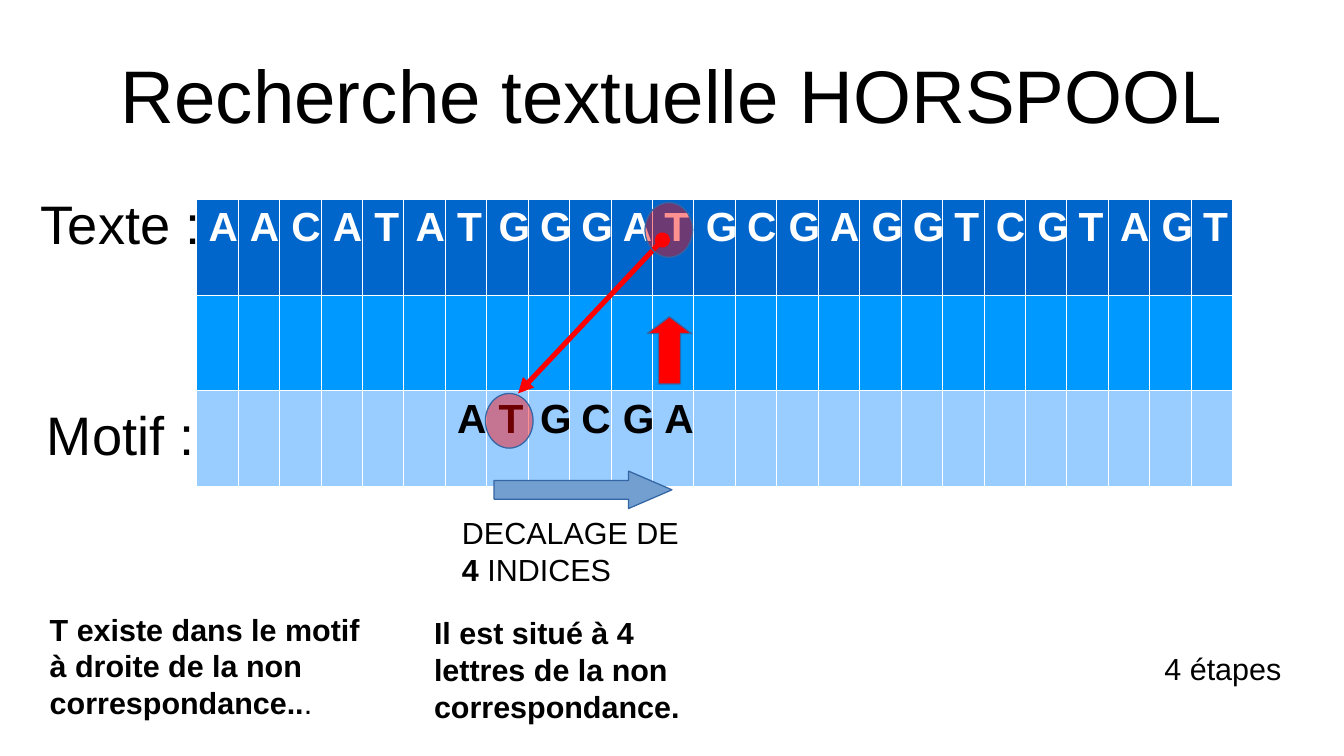
from lxml.etree import SubElement as Sub
from pptx import Presentation
from pptx.dml.color import RGBColor as Rgb
from pptx.enum.shapes import MSO_CONNECTOR as Conn, MSO_SHAPE as Kind
from pptx.enum.text import MSO_ANCHOR as Anchor, PP_ALIGN as Align
from pptx.oxml.ns import qn
from pptx.util import Inches, Pt

HUES = {"ink": "000000", "white": "FFFFFF", "head": "0066CC",
        "mid": "0099FF", "low": "99CCFF", "red": "FF0000",
        "edge": "3465A4", "shift": "729FCF"}
WIDE, HIGH = Inches(11.02), Inches(6.2)
TEXT = "AACATATGGGATGCGAGGTCGTAGT"
WORD, START = "ATGCGA", 6
COLS, ROWS = len(TEXT), 3


def hue(name):
    return Rgb.from_string(HUES[name])


def area(x, y, w, h):
    """Box given in percent of the slide's size."""
    return (int(WIDE * x / 100), int(HIGH * y / 100),
            int(WIDE * w / 100), int(HIGH * h / 100))


def style(run, size, color="ink", bold=False):
    font = run.font
    font.name, font.size, font.bold = "Arial", Pt(size), bold
    font.color.rgb = hue(color)


def label(shape, box, text, size):
    """Centred heading or row label without margins."""
    shape.left, shape.top, shape.width, shape.height = box
    frame = shape.text_frame
    frame.text = text
    frame.word_wrap = True
    frame.vertical_anchor = Anchor.MIDDLE
    frame.margin_left = frame.margin_right = 0
    frame.margin_top = frame.margin_bottom = 0
    para = frame.paragraphs[0]
    para.alignment = Align.CENTER
    style(para.runs[0], size)


def note(slide, box, *parts):
    """Remark made of (text, bold) parts."""
    frame = slide.shapes.add_textbox(*box).text_frame
    frame.word_wrap = True
    for text, bold in parts:
        run = frame.paragraphs[0].add_run()
        run.text = text
        style(run, 18, bold=bold)


def border(cell):
    props = cell._tc.get_or_add_tcPr()
    for at, side in enumerate(("a:lnL", "a:lnR", "a:lnT", "a:lnB")):
        line = Sub(props, qn(side), w=str(Pt(0.06)))
        fill = Sub(line, qn("a:solidFill"))
        Sub(fill, qn("a:srgbClr"), val=HUES["white"])
        props.insert(at, line)


def grid(slide, box):
    """Text on the first row, pattern on the last one."""
    table = slide.shapes.add_table(ROWS, COLS, *box).table
    for col in table.columns:
        col.width = box[2] // COLS
    for row in table.rows:
        row.height = box[3] // ROWS
    bands = [(TEXT, "head", "white"), ("", "mid", "ink"),
             (" " * START + WORD, "low", "ink")]
    for r, (line, back, ink) in enumerate(bands):
        for c, char in enumerate(line.ljust(COLS)):
            cell = table.cell(r, c)
            cell.fill.solid()
            cell.fill.fore_color.rgb = hue(back)
            border(cell)
            if char.strip():
                cell.text = char
                para = cell.text_frame.paragraphs[0]
                para.alignment = Align.CENTER
                style(para.runs[0], 24, ink, True)


def marks(slide, box):
    """Arrows and rings, placed in columns and rows of the table."""
    left, top, width, height = box
    col, row = width / COLS, height / ROWS

    def spot(x, y):
        return int(left + x * col), int(top + y * row)

    def mark(kind, x, y, w, h, color, adj=()):
        shape = slide.shapes.add_shape(
            kind, *spot(x, y), int(w * col), int(h * row))
        shape.shadow.inherit = False
        shape.fill.solid()
        shape.fill.fore_color.rgb = hue(color)
        shape.line.color.rgb = hue("edge")
        shape.line.width = 0
        for i, value in enumerate(adj):
            shape.adjustments[i] = value
        return shape

    # Comparison arrow
    mark(Kind.UP_ARROW, 10.88, 1.23, 1.06, 0.7, "red", (0.5, 0.38))

    # Link between the two T letters
    link = slide.shapes.add_connector(
        Conn.STRAIGHT, *spot(11.24, 0.43), *spot(7.76, 2.03))
    link.line.color.rgb = hue("red")
    link.line.width = Pt(3)
    line = link.line._get_or_add_ln()
    Sub(line, qn("a:headEnd"), type="oval")
    Sub(line, qn("a:tailEnd"), type="triangle")
    Sub(link._element.spPr, qn("a:effectLst"))

    # Shift arrow
    mark(Kind.RIGHT_ARROW, 7.18, 2.84, 4.29, 0.39, "shift", (0.5, 1.16))

    # Rings around the T letters
    for x, y in ((10.82, 0.04), (6.97, 2.03)):
        ring = mark(Kind.OVAL, x, y, 1.15, 0.57, "red")
        tint = ring._element.spPr.find(".//" + qn("a:srgbClr"))
        Sub(tint, qn("a:alpha"), val="43000")


def notes(slide):
    note(slide, area(33.48, 67.26, 18.69, 10.65),
         ("DECALAGE DE ", False), ("4", True), (" INDICES", False))
    note(slide, area(2.81, 80, 26.41, 15.16),
         ("T existe dans le motif à droite de la non correspondance..", True),
         (".", False))
    note(slide, area(31.4, 80.48, 23.59, 15.16),
         ("Il est situé à 4 lettres de la non correspondance.", True))
    note(slide, area(85.75, 85.16, 12.89, 6.29), ("4 étapes", False))


def main():
    deck = Presentation()
    deck.slide_width, deck.slide_height = WIDE, HIGH
    slide = deck.slides.add_slide(deck.slide_layouts[0])

    # Title and row labels
    label(slide.shapes.title, area(4.99, 4.03, 90.02, 16.77),
          "Recherche textuelle HORSPOOL", 44)
    label(slide.placeholders[1], area(2.18, 23.39, 13.61, 12.1),
          "Texte\u00a0:".replace("\u00a0", " "), 32)
    motif = area(2.18, 51.29, 13.61, 12.1)
    label(slide.shapes.add_textbox(*motif), motif, "Motif :", 32)

    # Table, marks and remarks
    box = area(14.61, 26.29, 77.13, 38.06)
    grid(slide, box)
    marks(slide, box)
    notes(slide)
    deck.save("out.pptx")


if __name__ == "__main__":
    main()
